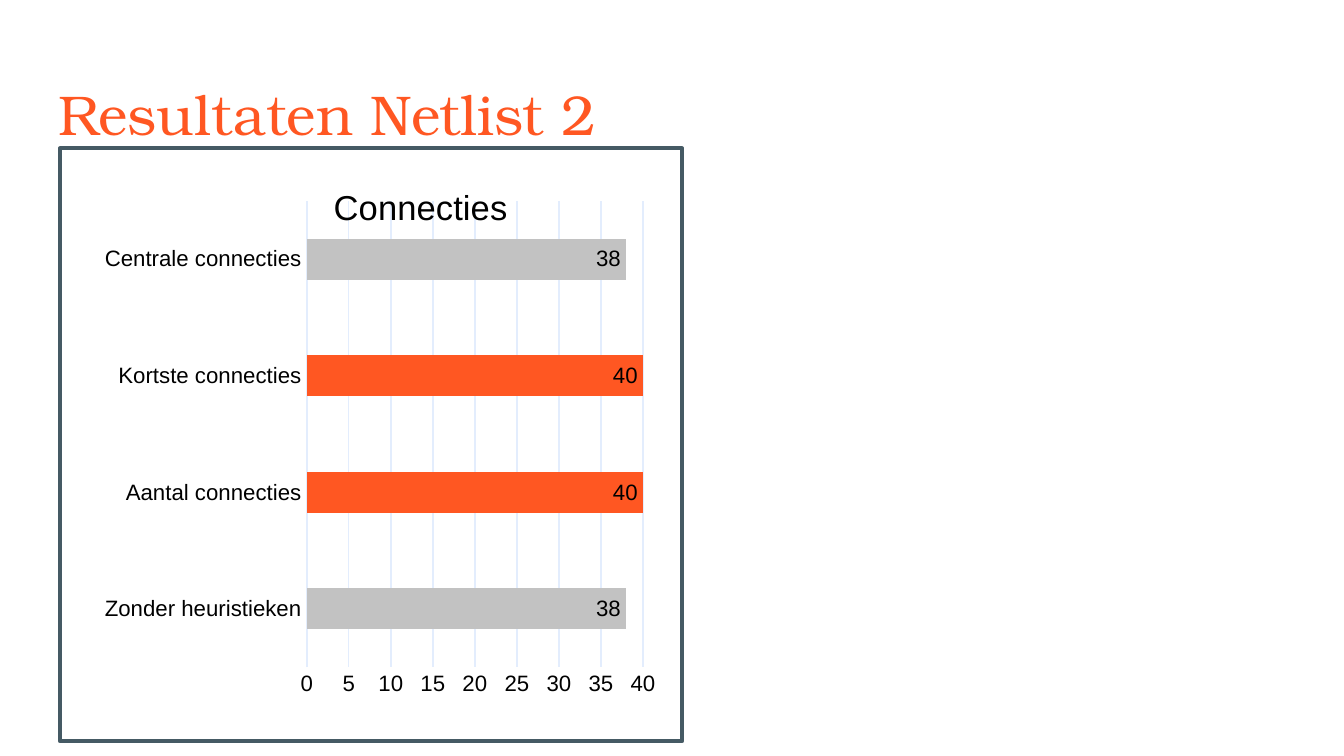
import pptx
import pptx.chart.data
import pptx.dml.color
import pptx.enum.chart
import pptx.enum.text
import pptx.oxml
import pptx.oxml.ns
import pptx.util

Pt = pptx.util.Pt
RGBColor = pptx.dml.color.RGBColor
qn = pptx.oxml.ns.qn
enums = pptx.enum.chart

ORANGE = RGBColor(0xFF, 0x57, 0x22)
GREY = RGBColor(0xC2, 0xC2, 0xC2)
SLATE = RGBColor(0x45, 0x5A, 0x64)
PALE = RGBColor(0xE3, 0xED, 0xFD)
BLACK = RGBColor(0, 0, 0)
WHITE = RGBColor(0xFF, 0xFF, 0xFF)


class Deck:
    serif = "TeX Gyre Bonum"
    sans = "Arial"

    def __init__(self, width, height):
        self.show = pptx.Presentation()
        self.show.slide_width = Pt(width)
        self.show.slide_height = Pt(height)
        self.slide = self.show.slides.add_slide(self.show.slide_layouts[6])

    def style(self, font, size, color=BLACK, name=sans):
        font.name = name
        font.size = Pt(size)
        font.bold = False
        font.color.rgb = color

    def title(self, text, *box):
        frame = self.slide.shapes.add_textbox(*map(Pt, box)).text_frame
        frame.word_wrap = True
        frame.vertical_anchor = pptx.enum.text.MSO_ANCHOR.TOP
        frame.margin_left = frame.margin_right = Pt(7.2)
        frame.margin_top = frame.margin_bottom = Pt(7.2)
        frame.text = text
        self.style(frame.paragraphs[0].runs[0].font, 30, ORANGE, self.serif)

    def place(self, holder, index, **spots):
        for old in holder.findall(qn("c:layout")):
            holder.remove(old)
        target = '<c:layoutTarget val="inner"/>' if "w" in spots else ""
        modes = "".join(f'<c:{key}Mode val="edge"/>' for key in "xy")
        sizes = "".join(f'<c:{key} val="{val}"/>' for key, val in spots.items())
        holder.insert(index, pptx.oxml.parse_xml(
            f'<c:layout {pptx.oxml.ns.nsdecls("c")}><c:manualLayout>'
            f"{target}{modes}{sizes}</c:manualLayout></c:layout>"))

    def frame(self, chart, width):
        chart.element.find(qn("c:chart")).addnext(pptx.oxml.parse_xml(
            f'<c:spPr {pptx.oxml.ns.nsdecls("c", "a")}>'
            f'<a:solidFill><a:srgbClr val="{WHITE}"/></a:solidFill>'
            f'<a:ln w="{Pt(width)}"><a:solidFill><a:srgbClr val="{SLATE}"/>'
            "</a:solidFill><a:round/></a:ln></c:spPr>"))

    def axis(self, axis):
        axis.major_tick_mark = axis.minor_tick_mark = enums.XL_TICK_MARK.NONE
        self.style(axis.tick_labels.font, 12)

    def rule(self, line):
        line.color.rgb = PALE
        line.width = Pt(0.75)

    def bars(self, head, names, values, tints, *box):
        data = pptx.chart.data.CategoryChartData()
        data.categories = names
        data.add_series("Series 1", values)
        chart = self.slide.shapes.add_chart(
            enums.XL_CHART_TYPE.BAR_CLUSTERED, *map(Pt, box), data).chart
        self.style(chart.font, 10)
        self.frame(chart, 2)
        chart.has_legend = False

        chart.has_title = True
        chart.chart_title.include_in_layout = True
        text = chart.chart_title.text_frame
        text.text = head
        self.style(text.paragraphs[0].runs[0].font, 18.6)
        self.place(chart.chart_title.element, 1, x=0.43, y=0.05)
        area = chart.element.find(qn("c:chart")).find(qn("c:plotArea"))
        self.place(area, 0, x=0.397, y=0.089, w=0.54, h=0.786)

        cat, val = chart.category_axis, chart.value_axis
        self.axis(cat)
        self.axis(val)
        self.rule(cat.format.line)
        val.format.line.fill.background()
        val.minimum_scale, val.maximum_scale, val.major_unit = 0, 40, 5
        val.has_major_gridlines = True
        self.rule(val.major_gridlines.format.line)

        plot = chart.plots[0]
        plot.gap_width = 182
        plot.vary_by_categories = False
        plot.has_data_labels = True
        labels = plot.data_labels
        labels.show_value = True
        labels.position = enums.XL_LABEL_POSITION.INSIDE_END
        self.style(labels.font, 12)
        series = plot.series[0]
        series.format.fill.solid()
        series.format.fill.fore_color.rgb = ORANGE
        for index, tint in enumerate(tints):
            fill = series.points[index].format.fill
            fill.solid()
            fill.fore_color.rgb = tint


def main():
    deck = Deck(720, 405)
    deck.title("Resultaten Netlist 2", 24.5, 35.3, 671, 45.4)
    names = ["Zonder heuristieken", "Aantal connecties",
             "Kortste connecties", "Centrale connecties"]
    values = [38, 40, 40, 38]
    tints = [ORANGE if value == max(values) else GREY for value in values]
    deck.bars("Connecties", names, values, tints, 31, 78.5, 335.5, 319.7)
    deck.show.save("out.pptx")


if __name__ == "__main__":
    main()
